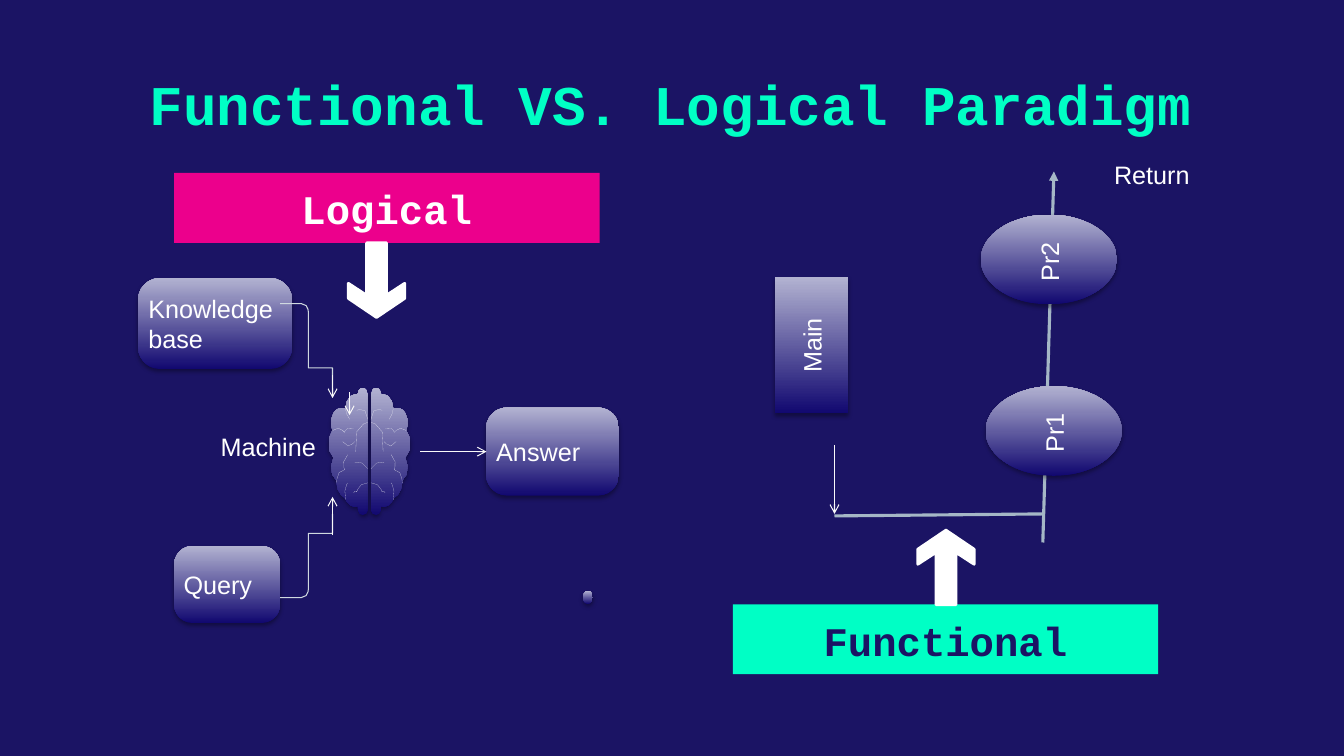
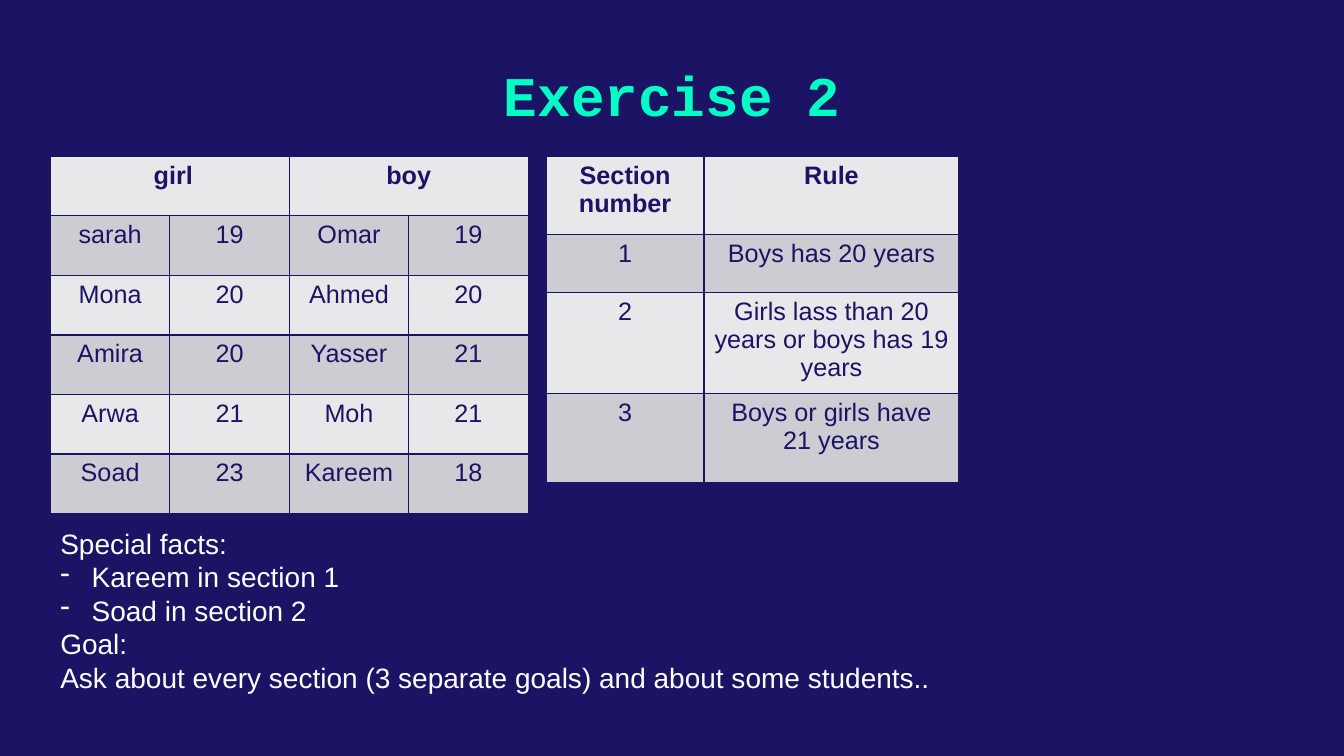
from dataclasses import dataclass

from lxml.etree import SubElement
from pptx import Presentation
from pptx.dml.color import RGBColor
from pptx.enum.shapes import MSO_CONNECTOR, MSO_SHAPE
from pptx.enum.text import MSO_ANCHOR, PP_ALIGN
from pptx.oxml.ns import qn
from pptx.util import Cm, Pt


@dataclass(frozen=True)
class Theme:
    navy: str = "1B1464"
    mint: str = "00FFC5"
    pink: str = "EC008C"
    white: str = "FFFFFF"
    near_white: str = "F9F9F9"
    pale: str = "CFD9E0"
    steel: str = "A5B7C6"
    deep: str = "110870"
    haze: str = "B2B2D1"
    bands: tuple = ("E8E7EA", "CDCCD3")
    heading_font: str = "Courier New"
    body_font: str = "Arial"
    title_size: int = 40
    banner_size: float = 29
    text_size: int = 18
    facts_size: int = 20


THEME = Theme()

COMPARISON_TITLE = ("Functional VS. Logical Paradigm", 2.62, 1.42, 0.33)
EXERCISE_TITLE = ("Exercise 2", 2.67, 1.27, 0.25)
TITLE_SIZE = (28.52, 2.49)

BANNERS = [
    ("Logical", 4.39, 4.36, THEME.pink, THEME.white),
    ("Functional", 18.47, 15.23, THEME.mint, THEME.navy),
]
BANNER_SIZE = (10.72, 1.76)
BLOCK_ARROWS = [(9.49, 8.0, -1), (23.84, 13.36, 1)]
BLOCK_ARROW_OUTLINE = [
    (0.71, 0.86), (0.25, 0.56), (0.25, 1.88), (-0.25, 1.88),
    (-0.25, 0.56), (-0.71, 0.86), (-0.71, 0.48), (0, 0), (0.71, 0.48),
]

CARDS = [
    ("Knowledge base", 3.48, 7.01, 3.88, 2.29),
    ("Query", 4.39, 13.76, 2.67, 1.94),
    ("Answer", 12.25, 10.27, 3.35, 2.22),
]
ELBOWS = [(7.65, 7.85, 9.27, 10.01), (15.06, 14.86, 13.44, 12.95)]
ELBOW_COLUMNS = (7.06, 7.59, 7.77, 8.38)
MACHINE_ARROWS = [
    (10.59, 11.38, 12.26, 11.38),
    (8.38, 9.45, 8.38, 10.03),
    (8.38, 13.49, 8.38, 12.52),
    (8.81, 9.88, 8.81, 10.46),
    (21.03, 11.21, 21.03, 12.95),
]
LABELS = [("Machine", 5.06, 10.74), ("Return", 27.08, 3.89)]
LABEL_SIZE = (3.15, 1.02)

CALL_LINES = [
    (26.28, 13.67, 26.56, 4.32, "triangle"),
    (26.28, 12.95, 21.03, 13.0, None),
]
CALL_STEPS = [
    ("Pr1", MSO_SHAPE.OVAL, PP_ALIGN.LEFT, 24.84, 9.73, 3.43, 2.26),
    ("Main", MSO_SHAPE.RECTANGLE, PP_ALIGN.CENTER, 19.53, 6.99, 1.84, 3.43),
    ("Pr2", MSO_SHAPE.OVAL, PP_ALIGN.LEFT, 24.72, 5.41, 3.43, 2.26),
]
DROPLET = (14.69, 14.89, 0.25, 0.33)

BRAIN_TOP = 9.78
BRAIN_HEIGHT = 3.2
BRAIN_GRID_ROWS = 126
BRAIN_HALVES = [(9.27, -1), (9.35, 1)]
BRAIN_OUTLINE = [
    (5, 0), (3, 0, 1, 2, 1, 4), (1, 5, 0, 6, 0, 7), (0, 120),
    (0, 120, 0, 126, 5, 126), (9, 126, 10, 122, 10, 117),
    (11, 118, 12, 118, 13, 118), (17, 118, 21, 114, 23, 109),
    (27, 107, 31, 101, 31, 94), (31, 93, 31, 93, 31, 92),
    (37, 88, 38, 76, 34, 69), (41, 63, 41, 49, 35, 42),
    (37, 37, 37, 30, 34, 25), (32, 21, 29, 20, 26, 20),
    (24, 20, 23, 20, 21, 21), (22, 20),
    (22, 12, 17, 6, 12, 6), (11, 6, 11, 6, 10, 6), (9, 2, 8, 0, 5, 0),
]
BRAIN_FOLDS = [
    [(0, 34), (0, 34, 17, 36, 12, 63)],
    [(11, 22), (11, 22, 0, 17, 0, 31)],
    [(22, 20), (22, 20, 22, 26, 18, 31)],
    [(35, 42), (29, 36, 23, 44, 23, 44), (23, 44, 22, 37, 14, 40)],
    [(31, 94), (31, 94, 31, 80, 23, 81), (23, 81, 27, 73, 20, 66)],
    [(20, 94), (20, 94, 25, 101, 22, 111)],
    [(0, 94), (8, 93, 11, 103, 11, 103), (11, 103, 13, 101, 14, 104)],
    [(13, 53), (13, 53, 20, 63, 25, 53)],
    [(13, 74), (13, 74, 5, 71, 0, 80)],
]

STUDENTS = [
    (" girl", None, "boy", None),
    ("sarah", "19", "Omar", "19"),
    ("Mona", "20", "Ahmed", "20"),
    ("Amira", "20", "Yasser", "21"),
    ("Arwa", "21", "Moh", "21"),
    ("Soad", "23", "Kareem", "18"),
]
RULES = [
    ("Section number", "Rule"),
    ("1", "Boys has 20 years"),
    ("2", "Girls lass than 20 years or boys has 19 years"),
    ("3", "Boys or girls have 21 years"),
]
TABLES = [
    (STUDENTS, 1.27, [3.01] * 4, [1.5] * 6),
    (RULES, 13.77, [3.97, 6.43], [1.96, 1.47, 2.37, 2.24]),
]
TABLE_TOP = 3.94
FACTS = [
    "Special facts:",
    "- Kareem in section 1",
    "- Soad in section 2",
    "Goal:",
    "Ask about every section (3 separate goals) and about some students..",
]
FACTS_BOX = (1.27, 13.13, 22.89, 4.52)


def color(value):
    return RGBColor.from_string(value)


def write(frame, text, size=THEME.text_size, font=THEME.body_font, fill=THEME.white,
          bold=False, align=PP_ALIGN.LEFT, anchor=MSO_ANCHOR.TOP, margin=None):
    frame.word_wrap = True
    frame.vertical_anchor = anchor
    if margin is not None:
        frame.margin_left = frame.margin_right = Cm(margin)
        frame.margin_top = frame.margin_bottom = Cm(margin)
    for index, line in enumerate(text if isinstance(text, list) else [text]):
        paragraph = frame.paragraphs[0] if index == 0 else frame.add_paragraph()
        paragraph.alignment = align
        if line.startswith("- "):
            line = line[2:]
            properties = paragraph._p.get_or_add_pPr()
            properties.set("marL", str(Cm(0.79)))
            properties.set("indent", str(-Cm(0.79)))
            SubElement(properties, qn("a:buChar")).set("char", "-")
        run = paragraph.add_run()
        run.text = line
        run.font.size = Pt(size)
        run.font.name = font
        run.font.bold = bold
        run.font.color.rgb = color(fill)


def add_text(slide, text, box, **text_format):
    shape = slide.shapes.add_textbox(*map(Cm, box))
    write(shape.text_frame, text, **text_format)


def add_title(slide, title):
    text, left, top, margin = title
    add_text(slide, text, (left, top, *TITLE_SIZE), size=THEME.title_size,
             font=THEME.heading_font, fill=THEME.mint, bold=True,
             align=PP_ALIGN.CENTER, margin=margin)


def add_glossy_look(shape):
    shape.line.fill.background()
    shape.fill.gradient()
    shape.fill.gradient_angle = 90
    for stop, position, value in zip(shape.fill.gradient_stops, (0, 1), (THEME.deep, THEME.haze)):
        stop.position = position
        stop.color.rgb = color(value)
    shape.shadow.inherit = False
    effects = shape._element.spPr.find(qn("a:effectLst"))
    shadow = SubElement(effects, qn("a:outerShdw"), blurRad=str(Pt(3.1)),
                        dist=str(Pt(1.8)), dir="5400000", rotWithShape="0")
    shade = SubElement(shadow, qn("a:srgbClr"), val="000000")
    SubElement(shade, qn("a:alpha"), val="35000")


def add_glossy_shape(slide, kind, box):
    shape = slide.shapes.add_shape(kind, *map(Cm, box))
    add_glossy_look(shape)
    return shape


def flatten(path, steps=3):
    points = [path[0]]
    for segment in path[1:]:
        if len(segment) == 2:
            points.append(segment)
            continue
        x0, y0 = points[-1]
        x1, y1, x2, y2, x3, y3 = segment
        for step in range(1, steps + 1):
            t = step / steps
            u = 1 - t
            weights = (u ** 3, 3 * u * u * t, 3 * u * t * t, t ** 3)
            points.append((
                sum(w * x for w, x in zip(weights, (x0, x1, x2, x3))),
                sum(w * y for w, y in zip(weights, (y0, y1, y2, y3))),
            ))
    return points


def add_outline(slide, path, left=0, top=0, x_scale=1, y_scale=1, close=False,
                line=THEME.white, width=1):
    points = [(Cm(left + x * x_scale), Cm(top + y * y_scale)) for x, y in flatten(path)]
    builder = slide.shapes.build_freeform(*points[0])
    builder.add_line_segments(points[1:], close=close)
    shape = builder.convert_to_shape()
    shape.shadow.inherit = False
    shape.fill.background()
    shape.line.color.rgb = color(line)
    shape.line.width = Pt(width)
    return shape


def add_line(slide, ends, value, width, head=None):
    line = slide.shapes.add_connector(MSO_CONNECTOR.STRAIGHT, *map(Cm, ends))
    line.line.color.rgb = color(value)
    line.line.width = Pt(width)
    if head:
        SubElement(line.line._get_or_add_ln(), qn("a:tailEnd"), type=head)
    SubElement(line._element.spPr, qn("a:effectLst"))


def add_brain(slide):
    unit = BRAIN_HEIGHT / BRAIN_GRID_ROWS
    for inner_edge, side in BRAIN_HALVES:
        place = dict(left=inner_edge, top=BRAIN_TOP, x_scale=side * unit, y_scale=unit)
        add_glossy_look(add_outline(slide, BRAIN_OUTLINE, close=True, **place))
        for fold in BRAIN_FOLDS:
            add_outline(slide, fold, width=0.06, **place)


def add_grid(slide, rows, left, widths, heights):
    frame = slide.shapes.add_table(len(rows), len(widths), Cm(left), Cm(TABLE_TOP),
                                   Cm(sum(widths)), Cm(sum(heights)))
    table = frame.table
    for column, width in zip(table.columns, widths):
        column.width = Cm(width)
    for index, (row, values) in enumerate(zip(table.rows, rows)):
        row.height = Cm(heights[index])
        for position, (cell, value) in enumerate(zip(row.cells, values)):
            properties = cell._tc.get_or_add_tcPr()
            for edge in ("lnL", "lnR", "lnT", "lnB"):
                border = SubElement(properties, qn("a:" + edge), w=str(Pt(1)))
                paint = SubElement(border, qn("a:solidFill"))
                SubElement(paint, qn("a:srgbClr"), val=THEME.navy)
            cell.fill.solid()
            cell.fill.fore_color.rgb = color(THEME.bands[index % 2])
            if value is None:
                table.cell(index, position - 1).merge(cell)
            else:
                write(cell.text_frame, value, fill=THEME.navy, bold=index == 0,
                      align=PP_ALIGN.CENTER)


def add_slide(presentation, title):
    slide = presentation.slides.add_slide(presentation.slide_layouts[6])
    slide.background.fill.solid()
    slide.background.fill.fore_color.rgb = color(THEME.navy)
    add_title(slide, title)
    return slide


def build_comparison(presentation):
    slide = add_slide(presentation, COMPARISON_TITLE)
    for text, left, top, back, ink in BANNERS:
        banner = slide.shapes.add_shape(MSO_SHAPE.RECTANGLE, *map(Cm, (left, top, *BANNER_SIZE)))
        banner.shadow.inherit = False
        banner.fill.solid()
        banner.fill.fore_color.rgb = color(back)
        banner.line.fill.background()
        write(banner.text_frame, text, size=THEME.banner_size, font=THEME.heading_font, fill=ink,
              bold=True, align=PP_ALIGN.CENTER, anchor=MSO_ANCHOR.BOTTOM, margin=0.25)
    for center, tip, direction in BLOCK_ARROWS:
        arrow = add_outline(slide, BLOCK_ARROW_OUTLINE, left=center, top=tip,
                            y_scale=direction, close=True, width=2)
        arrow.fill.solid()
        arrow.fill.fore_color.rgb = color(THEME.white)
    add_brain(slide)
    add_glossy_shape(slide, MSO_SHAPE.OVAL, DROPLET)
    for text, *box in CARDS:
        card = add_glossy_shape(slide, MSO_SHAPE.ROUNDED_RECTANGLE, box)
        card.adjustments[0] = 0.24
        write(card.text_frame, text, anchor=MSO_ANCHOR.MIDDLE, margin=0.1)
    start, bend, middle, end = ELBOW_COLUMNS
    for leave, corner, turn, arrive in ELBOWS:
        path = [(start, leave), (bend, leave), (middle, leave, middle, corner, middle, corner),
                (middle, turn), (end, turn), (end, arrive)]
        add_outline(slide, path, line=THEME.pale, width=0.75)
    for ends in MACHINE_ARROWS:
        add_line(slide, ends, THEME.near_white, 0.75, "arrow")
    for *ends, head in CALL_LINES:
        add_line(slide, ends, THEME.steel, 2.25, head)
    for text, kind, align, *box in CALL_STEPS:
        step = add_glossy_shape(slide, kind, box)
        write(step.text_frame, text, align=align, anchor=MSO_ANCHOR.MIDDLE, margin=0.25)
        step.text_frame._txBody.bodyPr.set("vert", "vert270")
    for text, left, top in LABELS:
        add_text(slide, text, (left, top, *LABEL_SIZE), align=PP_ALIGN.RIGHT)


def build_exercise(presentation):
    slide = add_slide(presentation, EXERCISE_TITLE)
    for rows, left, widths, heights in TABLES:
        add_grid(slide, rows, left, widths, heights)
    add_text(slide, FACTS, FACTS_BOX, size=THEME.facts_size)


def main():
    presentation = Presentation()
    presentation.slide_width = Cm(33.87)
    presentation.slide_height = Cm(19.05)
    build_comparison(presentation)
    build_exercise(presentation)
    presentation.save("out.pptx")


if __name__ == "__main__":
    main()
